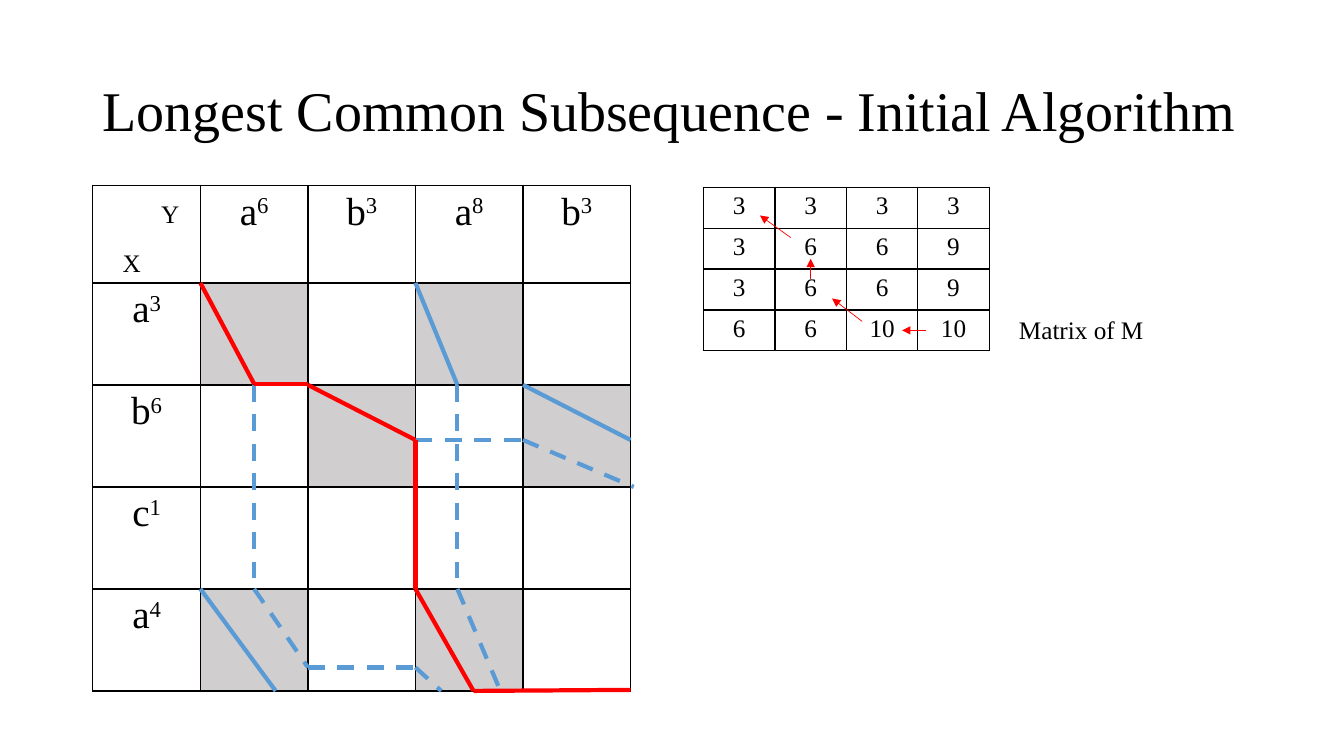
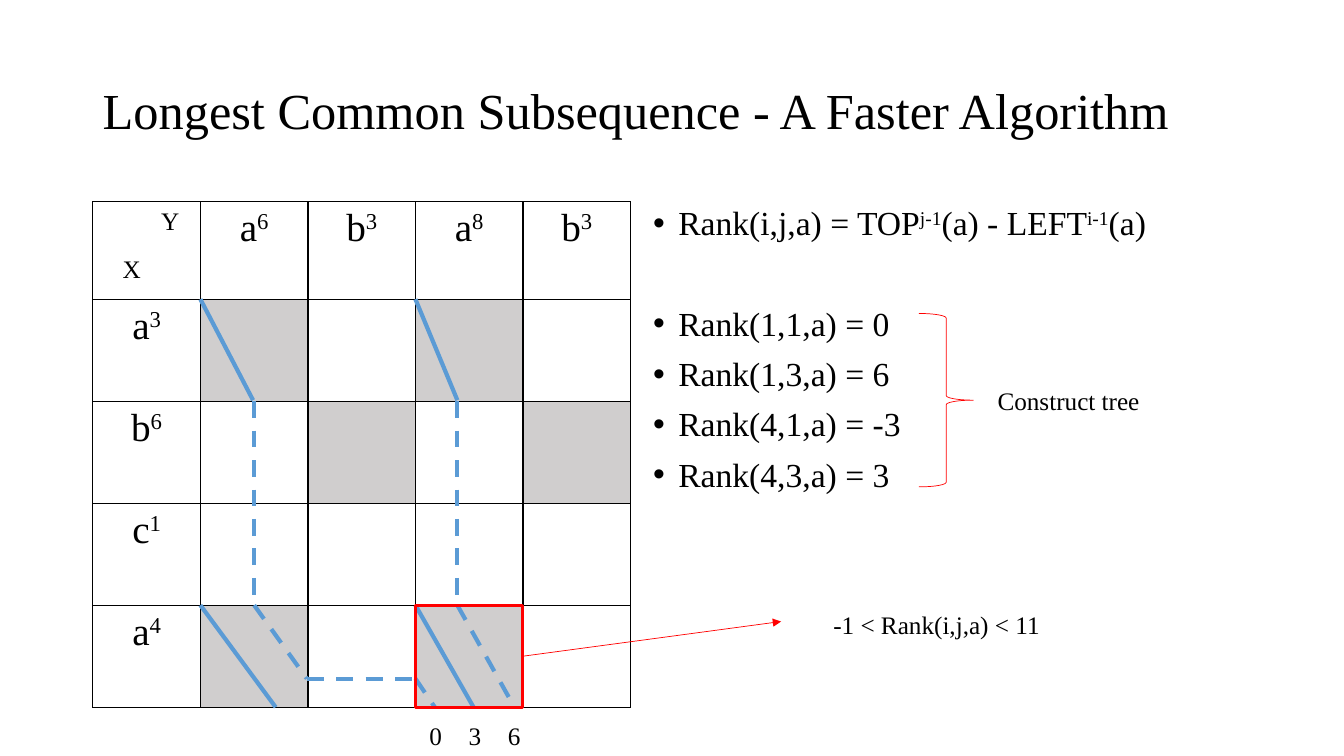
from itertools import pairwise
from lxml import etree
from pptx import Presentation
from pptx.dml.color import RGBColor
from pptx.enum import dml, shapes, text
from pptx.oxml.ns import qn
from pptx.util import Cm, Pt

# Shared style
FONT = "Times New Roman"
BLACK, RED, BLUE, GREY = "000000", "FF0000", "5B9BD5", "D0CECE"

# Edit grid: a caret switches superscript on and off
COLS = ["a^6", "b^3", "a^8", "b^3"]
ROWS = ["a^3", "b^6", "c^1", "a^4"]
GRID = [[""] + COLS] + [[name] + [""] * len(COLS) for name in ROWS]
MATRIX = [[3, 3, 3, 3], [3, 6, 6, 9], [3, 6, 6, 9], [6, 6, 10, 10]]
LEFT, WIDE, HEAD, HIGH = 2.34, 2.71, 2.46, 2.57

# Paths: colour, dashed, points as (column, row) inside the grid
FIRST = [
    (BLUE, True, [(.5, 1), (.5, 3), (1, 3.77), (2, 3.77), (2.24, 4)]),
    (BLUE, False, [(2, 0), (2.39, 1)]),
    (BLUE, True, [(2.39, 1), (2.39, 3), (2.79, 4)]),
    (BLUE, True, [(2, 1.54), (3, 1.54), (4.03, 2)]),
    (BLUE, False, [(3, 1), (4, 1.54)]),
    (BLUE, False, [(0, 3), (.7, 4)]),
    (RED, False, [(0, 0), (.5, .99), (1, .99)]),
    (RED, False, [(1, 1), (2, 1.54), (2, 3), (2.54, 4), (4, 3.99)]),
]
FASTER = [
    (BLUE, False, [(0, 0), (.49, .99)]),
    (BLUE, False, [(2, 0), (2.39, .99)]),
    (BLUE, False, [(0, 3), (.7, 4)]),
    (BLUE, False, [(2, 3), (2.54, 4)]),
    (BLUE, True, [(2.39, 1), (2.39, 3), (2.92, 4)]),
    (BLUE, True, [(.5, 1), (.5, 3), (.99, 3.72), (2, 3.72), (2.18, 4)]),
]
# Steps back through the matrix, in its cells
STEPS = [
    [(3.12, 3.5), (2.78, 3.5)],
    [(2.22, 3.28), (1.8, 2.72)],
    [(1.5, 2.25), (1.5, 1.75)],
    [(1.22, 1.23), (.79, .69)],
]
# Bullets: text, space before
RANKS = [
    ("Rank(i,j,a) = TOP^j-1^(a) - LEFT^i-1^(a)", 0),
    ("Rank(1,1,a) = 0", 46),
    ("Rank(1,3,a) = 6", 10),
    ("Rank(4,1,a) = -3", 10),
    ("Rank(4,3,a) = 3", 10),
]
# Labels: text, left, top, width
NOTES = [
    ("Construct tree", 24.89, 9.58, 4.14),
    ("-1 < Rank(i,j,a) < 11", 20.75, 15.24, 5.77),
] + [(mark, 10.57 + .99 * i, 18.03, .84) for i, mark in enumerate("036")]


def rgb(code):
    return RGBColor.from_string(code)


def write(para, words, size):
    for i, part in enumerate(words.split("^")):
        if part:
            run = para.add_run()
            run.text = part
            if i % 2:
                run._r.get_or_add_rPr().set("baseline", "30000")
    para.font.name, para.font.size = FONT, Pt(size)
    para.font.color.rgb = rgb(BLACK)


def add_box(slide, x, y, w, h):
    frame = slide.shapes.add_textbox(Cm(x), Cm(y), Cm(w), Cm(h)).text_frame
    frame.word_wrap = True
    return frame


def add_label(slide, words, x, y, w):
    frame = add_box(slide, x, y, w, 1.02)
    frame.word_wrap = False
    frame.auto_size = text.MSO_AUTO_SIZE.SHAPE_TO_FIT_TEXT
    write(frame.paragraphs[0], words, 18)


def add_title(slide, words, size):
    frame = add_box(slide, LEFT, 1.01, 29.21, 3.68)
    frame.vertical_anchor = text.MSO_ANCHOR.MIDDLE
    frame.paragraphs[0].line_spacing = .9
    write(frame.paragraphs[0], words, size)


def add_edges(cell):
    props = cell._tc.get_or_add_tcPr()
    for i, side in enumerate(("lnL", "lnR", "lnT", "lnB")):
        edge = etree.Element(qn("a:" + side), w=str(Pt(1)))
        fill = etree.SubElement(edge, qn("a:solidFill"))
        etree.SubElement(fill, qn("a:srgbClr"), val=BLACK)
        props.insert(i, edge)


def add_table(slide, data, x, y, wide, highs, size):
    table = slide.shapes.add_table(
        len(data), len(data[0]), Cm(x), Cm(y),
        Cm(wide * len(data[0])), Cm(sum(highs))).table
    table.first_row = table.horz_banding = False
    for col in table.columns:
        col.width = Cm(wide)
    for row, high, items in zip(table.rows, highs, data):
        row.height = Cm(high)
        for cell, item in zip(row.cells, items):
            cell.fill.background()
            para = cell.text_frame.paragraphs[0]
            para.alignment = text.PP_ALIGN.CENTER
            write(para, str(item), size)
            add_edges(cell)
    return table


def add_line(slide, start, end, color, width=3, dash=False, arrow=False):
    line = slide.shapes.add_connector(
        shapes.MSO_CONNECTOR.STRAIGHT, *map(Cm, start + end))
    line.line.color.rgb, line.line.width = rgb(color), Pt(width)
    if dash:
        line.line.dash_style = dml.MSO_LINE.DASH
    if arrow:
        etree.SubElement(line.line._get_or_add_ln(), qn("a:tailEnd"),
                         type="triangle")
    etree.SubElement(line._element.spPr, qn("a:effectLst"))


def add_frame(slide, kind, x, y, w, h, width):
    shape = slide.shapes.add_shape(kind, Cm(x), Cm(y), Cm(w), Cm(h))
    shape.shadow.inherit = False
    shape.fill.background()
    shape.line.color.rgb, shape.line.width = rgb(RED), Pt(width)


def add_grid(slide, top, mark, paths):
    """Draw the edit grid; return the function that places a grid point."""
    def spot(point):
        col, row = point
        return LEFT + WIDE * (1 + col), top + HEAD + HIGH * row

    table = add_table(slide, GRID, LEFT, top, WIDE,
                      [HEAD] + [HIGH] * len(ROWS), 28)
    # Shade the cells whose letters match
    for r, name in enumerate(ROWS, 1):
        for c, other in enumerate(COLS, 1):
            if name[0] == other[0]:
                fill = table.cell(r, c).fill
                fill.solid()
                fill.fore_color.rgb = rgb(GREY)
    add_label(slide, "Y", 3.81, mark, .97)
    add_label(slide, "X", 2.84, mark + 1.22, .97)
    for color, dash, points in paths:
        for start, end in pairwise(map(spot, points)):
            add_line(slide, start, end, color, dash=dash)
    return spot


def add_ranks(slide):
    frame = add_box(slide, 16.21, 5.08, 15.32, 12.75)
    for i, (words, gap) in enumerate(RANKS):
        para = frame.add_paragraph() if i else frame.paragraphs[0]
        para.line_spacing = .9
        if gap:
            para.space_before = Pt(gap)
        props = para._p.get_or_add_pPr()
        props.set("marL", str(Pt(18)))
        props.set("indent", str(-Pt(18)))
        etree.SubElement(props, qn("a:buFont"), typeface="Arial")
        etree.SubElement(props, qn("a:buChar"), char="•")
        write(para, words, 24)


def main():
    deck = Presentation()
    deck.slide_width, deck.slide_height = Cm(33.87), Cm(19.05)
    blank = deck.slide_layouts[6]

    # Initial algorithm
    slide = deck.slides.add_slide(blank)
    add_title(slide, "Longest Common Subsequence - Initial Algorithm", 40)
    add_grid(slide, 4.67, 4.88, FIRST)
    x, y, wide, high = 17.73, 4.72, 1.8, 1.03
    add_table(slide, MATRIX, x, y, wide, [high] * len(MATRIX), 18)
    for step in STEPS:
        start, end = [(x + wide * c, y + high * r) for c, r in step]
        add_line(slide, start, end, RED, .5, arrow=True)
    add_label(slide, "Matrix of M", 25.43, 7.8, 3.68)

    # Faster algorithm
    slide = deck.slides.add_slide(blank)
    add_title(slide, "Longest Common Subsequence - A Faster Algorithm", 36)
    spot = add_grid(slide, 5.08, 5.05, FASTER)
    add_ranks(slide)
    kinds = shapes.MSO_SHAPE
    add_frame(slide, kinds.RIGHT_BRACE, 23.16, 7.9, 1.37, 4.37, .5)
    add_frame(slide, kinds.RECTANGLE, *spot((2, 3)), WIDE, HIGH, 2.25)
    add_line(slide, spot((3, 3.5)), spot((5.4, 3.16)), RED, .5, arrow=True)
    for note in NOTES:
        add_label(slide, *note)

    deck.save("out.pptx")


if __name__ == "__main__":
    main()
